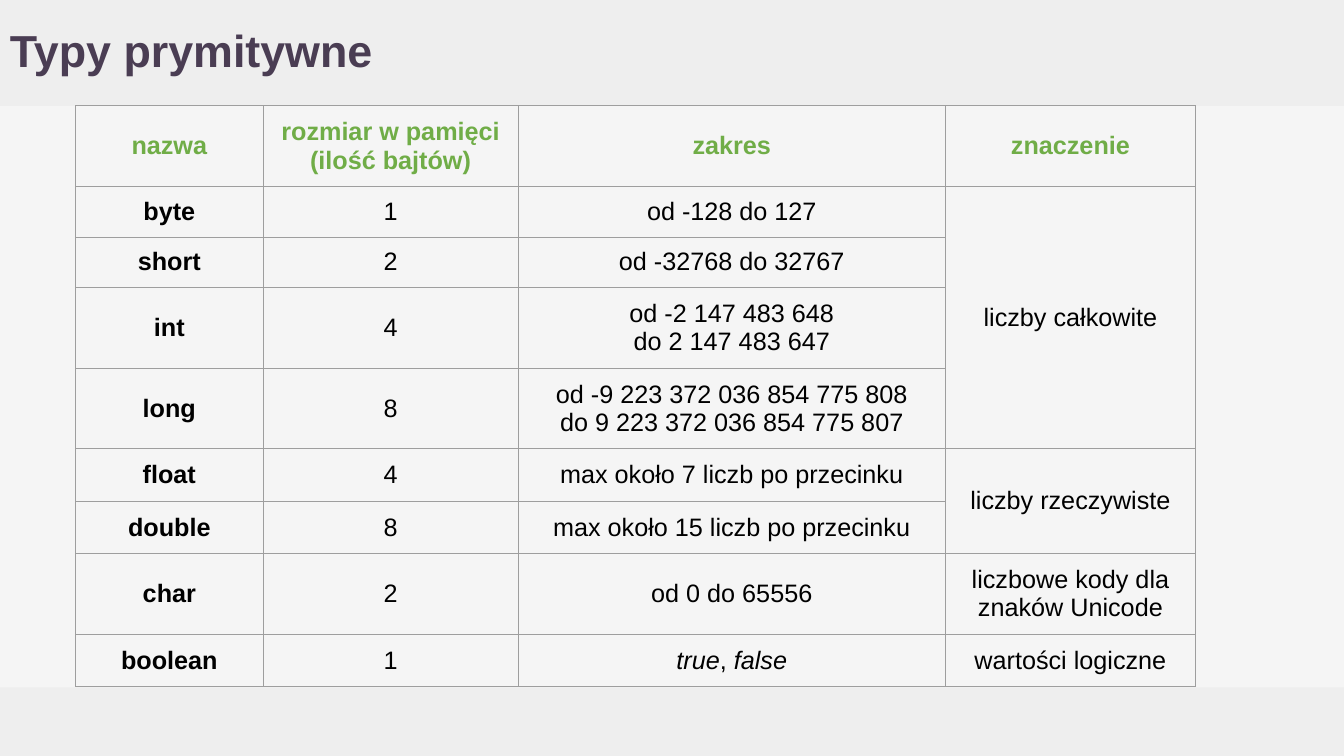
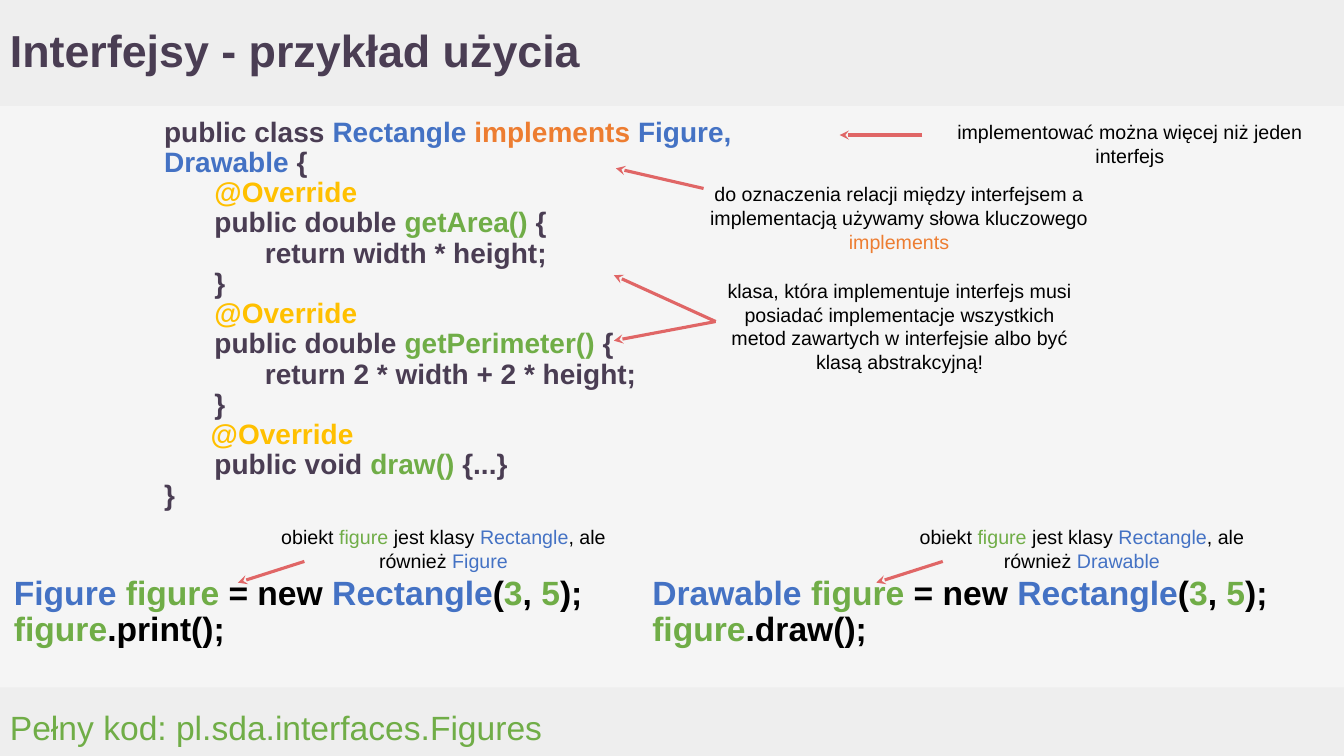
from dataclasses import dataclass

from lxml import etree
from pptx import Presentation
from pptx import util as u
from pptx.dml.color import RGBColor
from pptx.enum import shapes, text
from pptx.oxml.ns import qn

# The slide is a grid of 80 columns by 45 rows of square cells.
COLS, ROWS = 80, 45
CELL = u.Inches(7.5) // ROWS


@dataclass(frozen=True)
class Theme:
    font: str = "Arial"
    back: str = "F5F5F5"
    band: str = "EEEEEE"
    grid: str = "9E9E9E"
    plum: str = "4A3D53"
    black: str = "000000"
    green: str = "70AD47"
    blue: str = "4472C4"
    orange: str = "ED7D31"
    gold: str = "FFC000"
    red: str = "E06666"
    title: int = 32
    call: int = 24
    code: int = 20
    table: int = 18
    note: int = 14


T = Theme()
MID, TOP = text.MSO_ANCHOR.MIDDLE, text.MSO_ANCHOR.TOP
CENTER, LEFT = text.PP_ALIGN.CENTER, text.PP_ALIGN.LEFT

HEAD = 6.3
FOOT = 40.92
SHIFT = 38  # distance between the two usage examples

WIDTHS = [11.16, 15.18, 25.44, 14.88]
TALL, LOW, PLAIN = 4.76, 2.96, 3.12
HEIGHTS = [TALL, LOW, LOW, TALL, TALL, PLAIN, PLAIN, TALL, PLAIN]
MERGES = [(1, 4), (5, 6)]  # first and last row joined in the last column
TYPES = [
    ["nazwa", "rozmiar w pamięci\n(ilość bajtów)", "zakres", "znaczenie"],
    ["byte", "1", "od -128 do 127", "liczby całkowite"],
    ["short", "2", "od -32768 do 32767", ""],
    ["int", "4", "od -2 147 483 648\ndo 2 147 483 647", ""],
    ["long", "8", "od -9 223 372 036 854 775 808\n"
                  "do 9 223 372 036 854 775 807", ""],
    ["float", "4", "max około 7 liczb po przecinku", "liczby rzeczywiste"],
    ["double", "8", "max około 15 liczb po przecinku", ""],
    ["char", "2", "od 0 do 65556", "liczbowe kody dla znaków Unicode"],
    ["boolean", "1", "true, false", "wartości logiczne"],
]

OVERRIDE = [("\t@Override", T.gold)]
CLOSE = [("\t}", T.plum)]


def method(kind, name, end):
    return [(f"\tpublic {kind} ", T.plum), (name, T.green), (end, T.plum)]


CODE = [
    [("public class ", T.plum), ("Rectangle ", T.blue),
     ("implements ", T.orange), ("Figure, Drawable ", T.blue), ("{", T.plum)],
    OVERRIDE,
    method("double", "getArea()", " {"),
    [("\t\treturn width * height;", T.plum)],
    CLOSE,
    OVERRIDE,
    method("double", "getPerimeter()", " {"),
    [("\t\treturn 2 * width + 2 * height;", T.plum)],
    CLOSE,
    [("      @Override", T.gold)],
    method("void", "draw()", " {...}"),
    [("}", T.plum)],
]


def span(*cells):
    """Turn grid cells into lengths."""
    return [u.Emu(round(n * CELL)) for n in cells]


def rgb(code):
    return RGBColor.from_string(code)


def write(frame, lines, size, bold=False, align=LEFT, space=None):
    """Fill a text frame with lines of (text, colour[, italic]) runs."""
    for i, line in enumerate(lines):
        para = frame.paragraphs[0] if i == 0 else frame.add_paragraph()
        para.alignment = align
        if space:
            para.line_spacing = space
        for words, color, *slant in line:
            run = para.add_run()
            run.text = words
            font = run.font
            font.name, font.size, font.bold = T.font, u.Pt(size), bold
            font.color.rgb = rgb(color)
            if slant:
                font.italic = slant[0]


def pad(item):
    """Set the same inner margin on a text frame or table cell."""
    item.margin_left = item.margin_right = u.Inches(0.1)
    item.margin_top = item.margin_bottom = u.Inches(0.1)


def box(slide, place, lines, size, anchor=TOP, **style):
    frame = slide.shapes.add_textbox(*span(*place)).text_frame
    frame.word_wrap = True
    frame.vertical_anchor = anchor
    pad(frame)
    write(frame, lines, size, **style)


def note(slide, place, *runs):
    box(slide, place, [runs], T.note, align=CENTER)


def band(slide, top, high):
    bar = slide.shapes.add_shape(
        shapes.MSO_SHAPE.RECTANGLE, *span(0, top, COLS, high))
    bar.shadow.inherit = False
    bar.fill.solid()
    bar.fill.fore_color.rgb = rgb(T.band)
    bar.line.fill.background()


def arrow(slide, *ends):
    link = slide.shapes.add_connector(
        shapes.MSO_CONNECTOR.STRAIGHT, *span(*ends))
    link.line.color.rgb = rgb(T.red)
    link.line.width = u.Pt(2.25)
    tip = etree.SubElement(link.line._get_or_add_ln(), qn("a:tailEnd"))
    tip.set("type", "stealth")
    etree.SubElement(link._element.spPr, qn("a:effectLst"))


def border(cell):
    props = cell._tc.get_or_add_tcPr()
    for i, side in enumerate(("lnL", "lnR", "lnT", "lnB")):
        line = etree.Element(qn(f"a:{side}"), w=str(u.Pt(0.75)))
        fill = etree.SubElement(line, qn("a:solidFill"))
        etree.SubElement(fill, qn("a:srgbClr"), val=T.grid)
        props.insert(i, line)


def page(deck, title):
    """Add a slide with its bands and title."""
    slide = deck.slides.add_slide(deck.slide_layouts[6])
    band(slide, FOOT, ROWS - FOOT)
    band(slide, 0, HEAD)
    box(slide, (0, 0, 71.5, HEAD), [[(title, T.plum)]], T.title,
        anchor=MID, bold=True, space=0.9)
    return slide


def lines_of(words, color):
    if words == "true, false":
        return [[("true", color, True), (", ", color), ("false", color, True)]]
    return [[(line, color)] for line in words.split("\n")]


def types(slide):
    """Draw the table of primitive types."""
    place = span(4.5, HEAD, sum(WIDTHS), sum(HEIGHTS))
    table = slide.shapes.add_table(len(TYPES), len(WIDTHS), *place).table
    table.first_row = table.horz_banding = False
    for col, wide in zip(table.columns, span(*WIDTHS)):
        col.width = wide
    for row, high in zip(table.rows, span(*HEIGHTS)):
        row.height = high
    last = len(WIDTHS) - 1
    for start, end in MERGES:
        table.cell(start, last).merge(table.cell(end, last))
    for r, row in enumerate(TYPES):
        for c, words in enumerate(row):
            cell = table.cell(r, c)
            cell.fill.background()
            cell.vertical_anchor = MID
            pad(cell)
            border(cell)
            if words:
                color = T.black if r else T.green
                write(cell.text_frame, lines_of(words, color), T.table,
                      bold=r == 0 or c == 0, align=CENTER)


def usage(slide, left, kind, call):
    """Show an object used through an interface, with its note."""
    box(slide, (left + 0.24, 33.72, 41.64, 7.08), [
        [(f"{kind} ", T.blue), ("figure ", T.green), ("= new ", T.black),
         ("Rectangle", T.blue), ("(", T.black), ("3", T.green),
         (", ", T.black), ("5", T.green), (");", T.black)],
        [("figure", T.green), (f".{call}();", T.black)],
    ], T.call, bold=True, space=0.9)
    note(slide, (left + 14.1, 30.66, 24.6, 3.84),
         ("obiekt ", T.black), ("figure ", T.green), ("jest klasy ", T.black),
         ("Rectangle", T.blue), (", ale również ", T.black), (kind, T.blue))
    arrow(slide, left + 18.12, 33.42, left + 14.16, 34.68)


def faces(slide):
    """Draw the interface example with its notes."""
    box(slide, (9.18, 6.42, 41.64, 22.74), CODE, T.code, bold=True, space=0.9)
    note(slide, (54.96, 6.54, 24.6, 4.02),
         ("implementować można więcej niż jeden interfejs", T.black))
    note(slide, (41.22, 10.26, 24.6, 5.16),
         ("do oznaczenia relacji między interfejsem a implementacją "
          "używamy słowa kluczowego ", T.black), ("implements", T.orange))
    note(slide, (42.6, 16.02, 21.9, 6.3),
         ("klasa, która implementuje interfejs musi posiadać implementacje "
          "wszystkich metod zawartych w interfejsie albo być klasą "
          "abstrakcyjną!", T.black))
    arrow(slide, 54.9, 8.04, 49.98, 8.04)
    arrow(slide, 41.88, 11.22, 36.66, 10.02)
    for end in (16.38, 20.28):
        arrow(slide, 42.6, 19.14, 36.54, end)
    usage(slide, 0, "Figure", "print")
    usage(slide, SHIFT, "Drawable", "draw")
    box(slide, (0, 41.28, 65.4, 4.02),
        [[("Pełny kod: pl.sda.interfaces.Figures", T.green)]],
        T.call, anchor=MID)


def main():
    deck = Presentation()
    deck.slide_width, deck.slide_height = span(COLS, ROWS)
    fill = deck.slide_master.background.fill
    fill.solid()
    fill.fore_color.rgb = rgb(T.back)
    types(page(deck, "Typy prymitywne"))
    faces(page(deck, "Interfejsy - przykład użycia"))
    deck.save("out.pptx")


if __name__ == "__main__":
    main()
